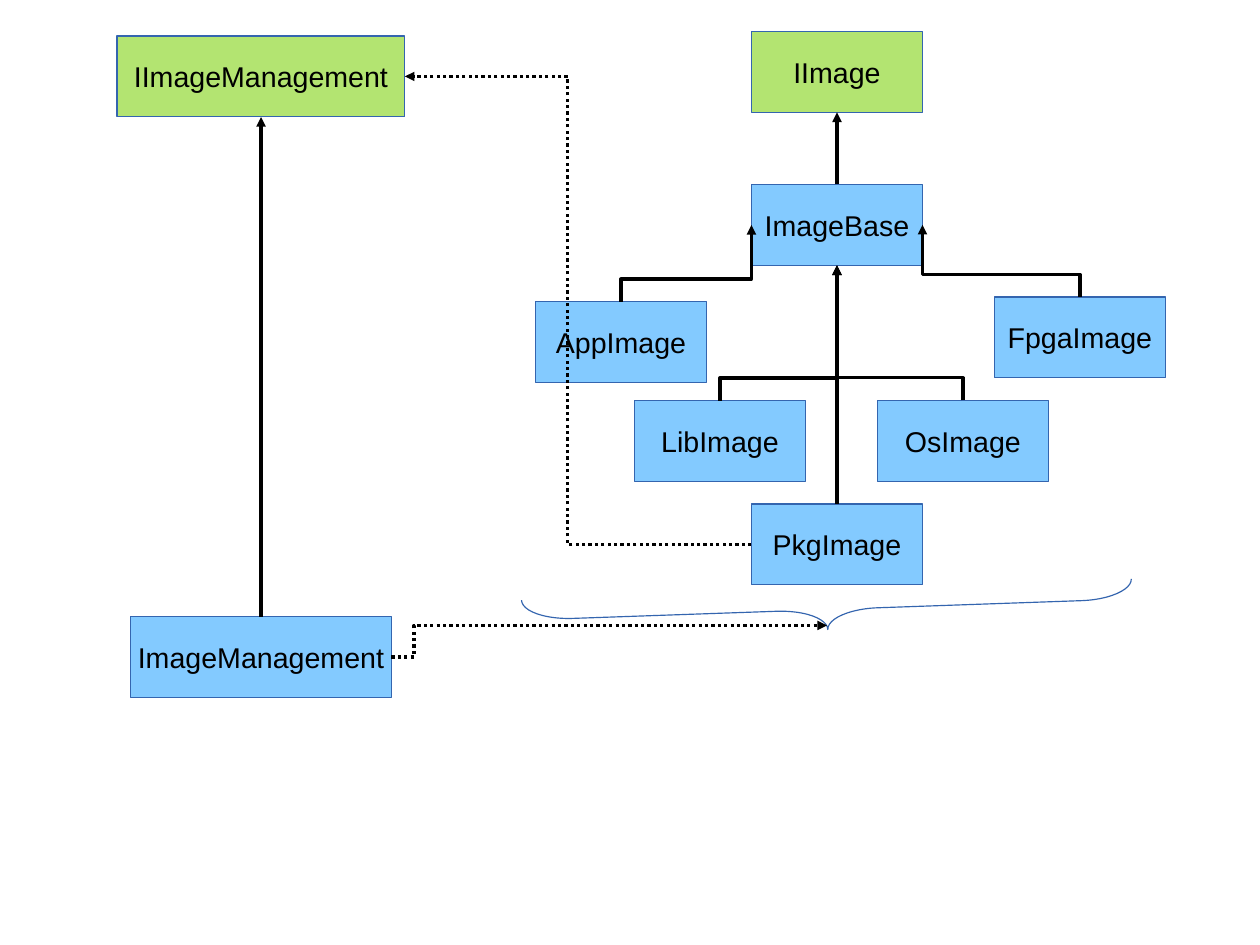
from lxml import etree
from pptx import Presentation
from pptx.dml.color import RGBColor
from pptx.enum.dml import MSO_LINE
from pptx.enum.shapes import MSO_CONNECTOR, MSO_SHAPE
from pptx.enum.text import MSO_ANCHOR, PP_ALIGN
from pptx.oxml.ns import qn
from pptx.util import Cm, Pt

GREEN = RGBColor(0xB3, 0xE4, 0x71)
BLUE = RGBColor(0x83, 0xCA, 0xFF)
EDGE = RGBColor(0x34, 0x65, 0xAF)
BLACK = RGBColor(0, 0, 0)
RECT, BRACE = MSO_SHAPE.RECTANGLE, MSO_SHAPE.RIGHT_BRACE
LINE, ELBOW = MSO_CONNECTOR.STRAIGHT, MSO_CONNECTOR.ELBOW
DOTS = MSO_LINE.ROUND_DOT
MIDDLE, CENTER = MSO_ANCHOR.MIDDLE, PP_ALIGN.CENTER
TOP, LEFT, BOTTOM, RIGHT = range(4)
FONT = {"name": "Arial", "size": Pt(18)}
TALL, WIDE, STUB = Cm(1.8), Cm(3.8), Cm(0.5)


def add_node(slide, text, left, top, width=WIDE, fill=BLUE):
    node = slide.shapes.add_shape(RECT, left, top, width, TALL)
    node.shadow.inherit = False
    node.fill.solid()
    node.fill.fore_color.rgb = fill
    node.line.color.rgb = EDGE
    node.line.width = 0
    frame = node.text_frame
    frame.word_wrap = False
    frame.vertical_anchor = MIDDLE
    para = frame.paragraphs[0]
    para.text = text
    para.alignment = CENTER
    for key, value in FONT.items():
        setattr(para.font, key, value)
    para.font.color.rgb = BLACK
    return node


def side(node, index):
    """Return the middle of one side of a node."""
    mid_x, mid_y = node.left + node.width // 2, node.top + node.height // 2
    return {TOP: (mid_x, node.top), LEFT: (node.left, mid_y),
            BOTTOM: (mid_x, node.top + node.height),
            RIGHT: (node.left + node.width, mid_y)}[index]


def style_arrow(link, dash=None):
    link.line.color.rgb = BLACK
    link.line.width = 0
    if dash:
        link.line.dash_style = dash
    props = link._element.spPr
    etree.SubElement(props.find(qn("a:ln")), qn("a:tailEnd"), type="triangle")
    etree.SubElement(props, qn("a:effectLst"))


def add_rise(slide, child, parent):
    """Join a child straight up to the parent above it."""
    link = slide.shapes.add_connector(LINE, 0, 0, 0, 0)
    link.begin_connect(child, TOP)
    link.end_connect(parent, BOTTOM)
    style_arrow(link)


def add_bend(slide, start, end, bend, dash=None):
    """Draw an elbow that leaves sideways and turns at the share bend."""
    link = slide.shapes.add_connector(ELBOW, *start, *end)
    guides = link._element.spPr.find(".//" + qn("a:avLst"))
    etree.SubElement(guides, qn("a:gd"), name="adj1",
                     fmla=f"val {round(bend * 100000)}")
    style_arrow(link, dash)
    return link


def add_climb(slide, start, end):
    """Draw an elbow that leaves upward, as a sideways one turned by 270°."""
    (x1, y1), (x2, y2) = start, end
    mid_x, mid_y = (x1 + x2) // 2, (y1 + y2) // 2
    rise, shift = y1 - y2, x2 - x1
    link = add_bend(slide, (mid_x - rise // 2, mid_y - shift // 2),
                    (mid_x + rise // 2, mid_y + shift // 2), STUB / rise)
    link._element.spPr.find(qn("a:xfrm")).set("rot", str(270 * 60000))


def draw_manager(slide, left, top):
    face = add_node(slide, "IImageManagement", left, top, Cm(6.4), GREEN)
    body = add_node(slide, "ImageManagement", left + Cm(0.3),
                    top + Cm(12.9), Cm(5.8))
    add_rise(slide, body, face)
    return face, body


def draw_images(slide, left, top):
    """Draw the image classes and return the package node."""
    axis = left + Cm(4.8)
    face = add_node(slide, "IImage", axis, top, fill=GREEN)
    base = add_node(slide, "ImageBase", axis, top + Cm(3.4))
    add_rise(slide, base, face)
    kinds = (("AppImage", 0, 6, LEFT), ("LibImage", 2.2, 8.2, BOTTOM),
             ("OsImage", 7.6, 8.2, BOTTOM), ("FpgaImage", 10.2, 5.9, RIGHT))
    for text, x, y, edge in kinds:
        node = add_node(slide, text, left + Cm(x), top + Cm(y))
        add_climb(slide, side(node, TOP), side(base, edge))
    pack = add_node(slide, "PkgImage", axis, top + Cm(10.5))
    add_rise(slide, pack, base)
    return pack


def draw_brace(slide, left, top):
    """Draw the brace under the images and return its tip."""
    width, height = Cm(0.89), Cm(13.56)
    brace = slide.shapes.add_shape(BRACE, left + (height - width) // 2,
                                   top - (height - width) // 2, width, height)
    brace.rotation = 88
    brace.adjustments[0] = 1.27
    brace.shadow.inherit = False
    brace.fill.background()
    brace.line.color.rgb = EDGE
    brace.line.width = 0
    return left + height // 2, top + Cm(0.8)


def main():
    deck = Presentation()
    deck.slide_width, deck.slide_height = Cm(28), Cm(21)
    slide = deck.slides.add_slide(deck.slide_layouts[6])
    face, body = draw_manager(slide, Cm(2.6), Cm(0.8))
    pack = draw_images(slide, Cm(11.9), Cm(0.7))
    tip = draw_brace(slide, Cm(11.6), Cm(13.1))
    add_bend(slide, side(pack, LEFT), side(face, RIGHT), 0.53, DOTS)
    start = side(body, RIGHT)
    add_bend(slide, start, tip, STUB / (tip[0] - start[0]), DOTS)
    deck.save("out.pptx")


if __name__ == "__main__":
    main()
